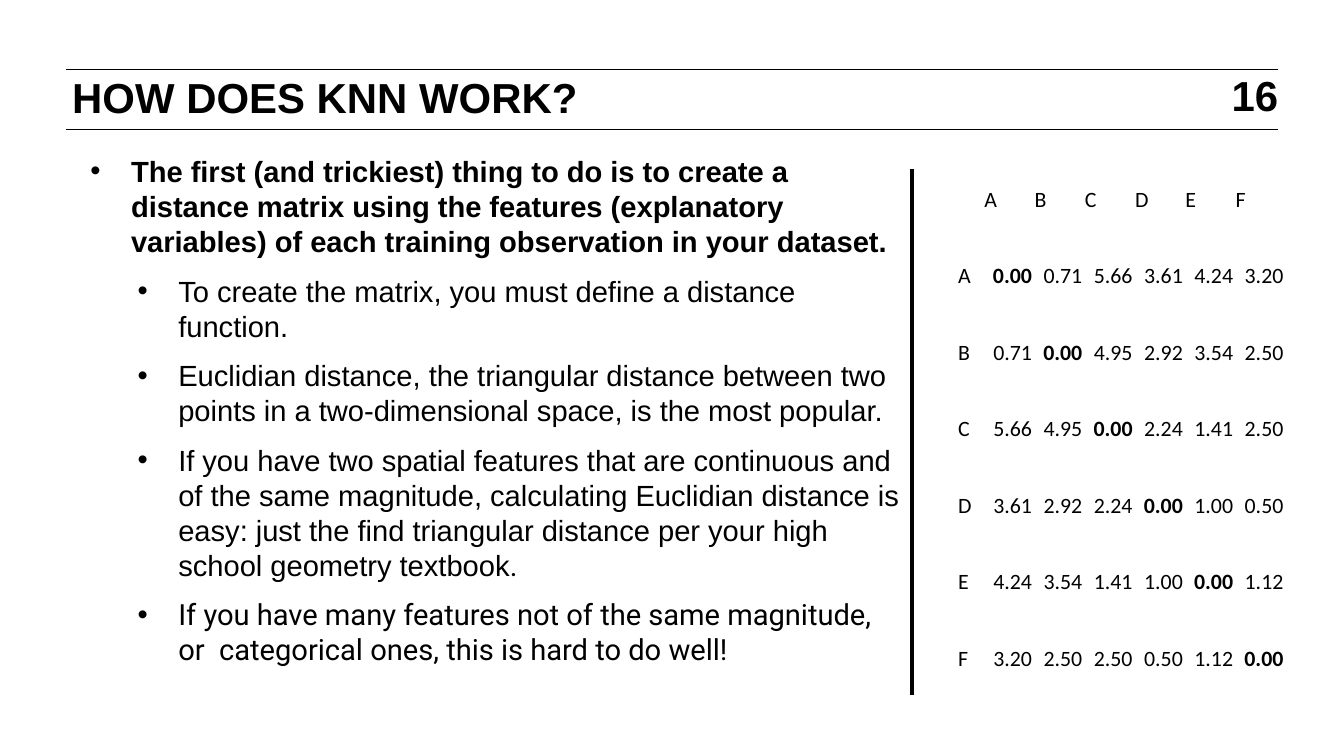
"""Build the slide on how KNN works, with its distance matrix."""
import pptx
import pptx.dml.color
import pptx.enum.shapes
import pptx.enum.text
import pptx.oxml.ns
import pptx.util
from lxml import etree

PX = 9144
COLORS = {"ink": "000000"}
ALIGN = pptx.enum.text.PP_ALIGN
ANCHOR = pptx.enum.text.MSO_ANCHOR

TITLE = "HOW DOES KNN WORK?"
PAGE_NUMBER = "16"
BULLETS = [
    (0, [("The first (and trickiest) thing to do is to create a distance matrix using the features "
          "(explanatory variables) of each training observation in your dataset.", "Arial")]),
    (1, [("To create the matrix, you must define a distance function.", "Arial")]),
    (1, [("Euclidian distance, the triangular distance between two points in a two-dimensional "
          "space, is the most popular.", "Arial")]),
    (1, [("If you have two spatial features that are continuous and of the same magnitude, "
          "calculating Euclidian distance is easy: just the find triangular distance per your "
          "high school geometry textbook", "Arial"), (".", "Roboto")]),
    (1, [("If you have many features not of the same magnitude, or  categorical ones, this is "
          "hard to do well!", "Roboto")]),
]
POINTS = "ABCDEF"
DISTANCES = [
    ["0.00", "0.71", "5.66", "3.61", "4.24", "3.20"],
    ["0.71", "0.00", "4.95", "2.92", "3.54", "2.50"],
    ["5.66", "4.95", "0.00", "2.24", "1.41", "2.50"],
    ["3.61", "2.92", "2.24", "0.00", "1.00", "0.50"],
    ["4.24", "3.54", "1.41", "1.00", "0.00", "1.12"],
    ["3.20", "2.50", "2.50", "0.50", "1.12", "0.00"],
]
RULES = [
    (50, 53, 974, 53, 0.5),
    (50, 99, 974, 99, 0.5),
    (695, 129, 695, 529, 2),
]
MATRIX_WIDTH, MATRIX_HEIGHT, LABEL_WIDTH = 250, 408, 20


def px(*lengths):
    return [pptx.util.Emu(int(length * PX)) for length in lengths]


def write(paragraph, text, size, font="Arial", bold=False, align=ALIGN.LEFT, spacing=None):
    paragraph.alignment = align
    if spacing:
        paragraph.line_spacing = pptx.util.Pt(spacing)
    run = paragraph.add_run()
    run.text = text
    run.font.size = pptx.util.Pt(size)
    run.font.name = font
    run.font.bold = bold
    run.font.color.rgb = pptx.dml.color.RGBColor.from_string(COLORS["ink"])


def add_bullet(paragraph, level):
    paragraph.level = level
    properties = paragraph._p.get_or_add_pPr()
    properties.set("marL", str(36 * (level + 1) * PX))
    properties.set("indent", str(-31 * PX))
    etree.SubElement(properties, pptx.oxml.ns.qn("a:buFont")).set("typeface", "Arial")
    etree.SubElement(properties, pptx.oxml.ns.qn("a:buChar")).set("char", "•")


def add_rule(slide, x1, y1, x2, y2, width):
    rule = slide.shapes.add_connector(
        pptx.enum.shapes.MSO_CONNECTOR.STRAIGHT, *px(x1, y1, x2, y2))
    rule.line.width = pptx.util.Pt(width)
    rule.line.color.rgb = pptx.dml.color.RGBColor.from_string(COLORS["ink"])
    etree.SubElement(rule._element.spPr, pptx.oxml.ns.qn("a:effectLst"))


def add_heading(slide):
    title = slide.shapes.title
    title.left, title.top, title.width, title.height = px(45, 54, 700, 33)
    title.text_frame.auto_size = pptx.enum.text.MSO_AUTO_SIZE.NONE
    title.text_frame.vertical_anchor = ANCHOR.TOP
    write(title.text_frame.paragraphs[0], TITLE, 23, bold=True, spacing=24.5)

    frame = slide.shapes.add_textbox(*px(924, 58, 50, 34)).text_frame
    frame.word_wrap = True
    frame.vertical_anchor = ANCHOR.MIDDLE
    frame.margin_left, frame.margin_top, frame.margin_right, frame.margin_bottom = px(7, 4, 0, 4)
    write(frame.paragraphs[0], PAGE_NUMBER, 23, bold=True, align=ALIGN.RIGHT, spacing=23)


def add_bullets(slide):
    frame = slide.shapes.add_textbox(*px(54, 112, 642, 519)).text_frame
    frame.word_wrap = True
    for index, (level, runs) in enumerate(BULLETS):
        paragraph = frame.add_paragraph() if index else frame.paragraphs[0]
        add_bullet(paragraph, level)
        if index:
            paragraph.space_before = pptx.util.Pt(8)
        for text, font in runs:
            write(paragraph, text, 16, font=font, bold=level == 0, spacing=19.2)


def add_matrix(slide):
    rows = [["", *POINTS]] + [[point, *values] for point, values in zip(POINTS, DISTANCES)]
    count = len(rows)
    value_width = (MATRIX_WIDTH - LABEL_WIDTH) / len(POINTS)
    table = slide.shapes.add_table(
        count, count, *px(729, 104, MATRIX_WIDTH, MATRIX_HEIGHT)).table
    table.first_row = table.horz_banding = False
    for index, column in enumerate(table.columns):
        column.width, = px(value_width if index else LABEL_WIDTH)
    for row, texts in enumerate(rows):
        for column, text in enumerate(texts):
            cell = table.cell(row, column)
            cell.fill.background()
            cell.vertical_anchor = ANCHOR.BOTTOM
            cell.margin_left, cell.margin_top, cell.margin_right, cell.margin_bottom = px(1, 1, 1, 0)
            if text:
                write(cell.text_frame.paragraphs[0], text, 12, font="Calibri",
                      bold=row == column, align=ALIGN.RIGHT if row and column else ALIGN.LEFT)


def main():
    presentation = pptx.Presentation()
    presentation.slide_width, presentation.slide_height = px(1024, 575)
    slide = presentation.slides.add_slide(presentation.slide_layouts[5])
    add_heading(slide)
    add_bullets(slide)
    add_matrix(slide)
    for rule in RULES:
        add_rule(slide, *rule)
    presentation.save("out.pptx")


if __name__ == "__main__":
    main()
